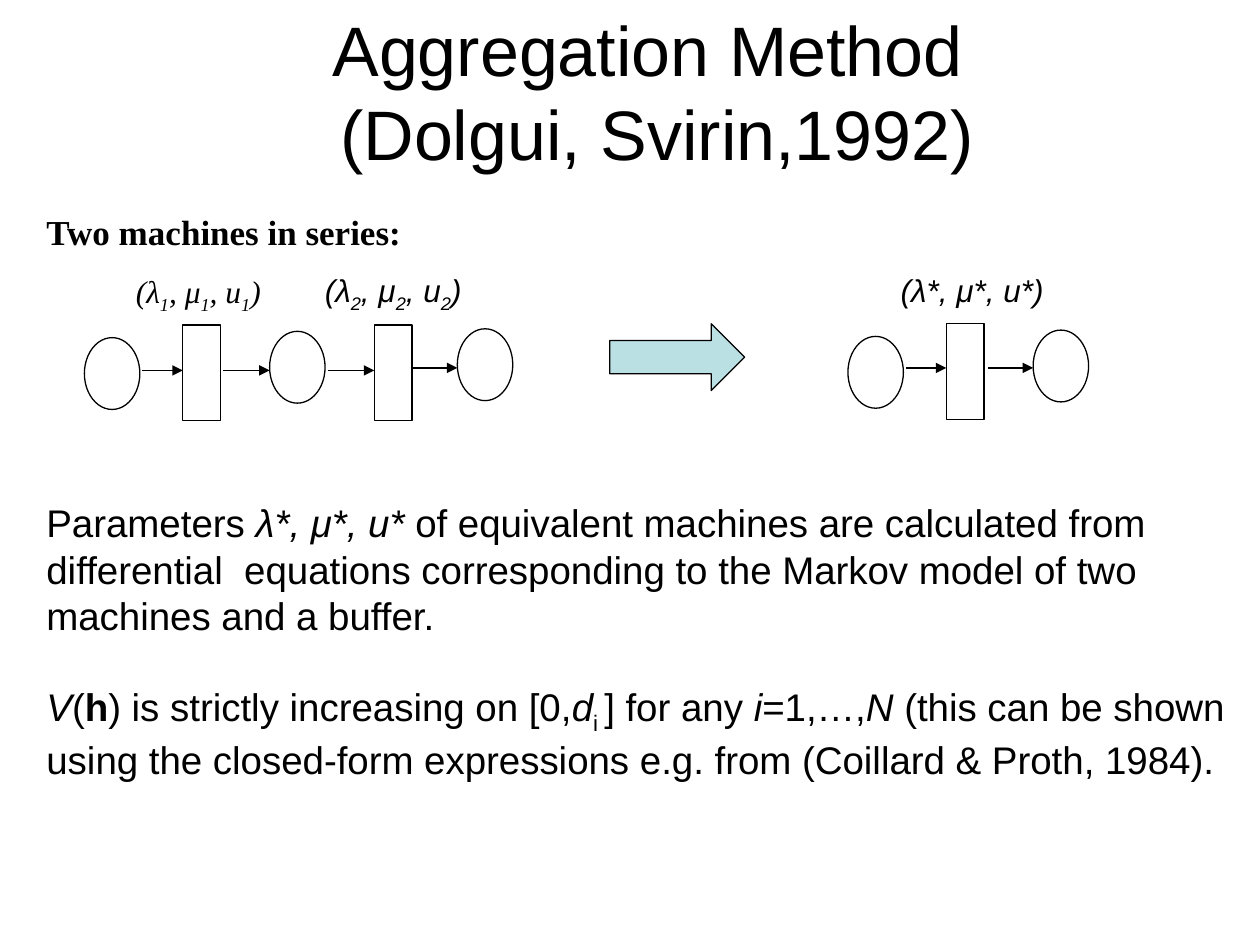
from dataclasses import dataclass

from lxml.etree import SubElement
from pptx import Presentation
from pptx.dml.color import RGBColor
from pptx.enum.shapes import MSO_CONNECTOR, MSO_SHAPE
from pptx.enum.text import MSO_ANCHOR, PP_ALIGN
from pptx.oxml.ns import qn
from pptx.util import Inches, Pt


@dataclass(frozen=True)
class Theme:
    ink: RGBColor = RGBColor(0, 0, 0)
    paper: RGBColor = RGBColor(255, 255, 255)
    accent: RGBColor = RGBColor(0xBB, 0xE0, 0xE3)
    sans: str = "Arial"
    serif: str = "Times New Roman"
    title: int = 40
    heading: int = 20
    label: int = 18
    body: int = 22
    line: float = 0.75


THEME = Theme()

# Content: runs are (text, style), with i = italic, b = bold, s = subscript
TITLE = [("Aggregation Method ", ""), ("\n", ""), ("(Dolgui, Svirin,1992)", "")]
HEADING = [("Two machines in series:", "b")]
BODY = [
    [("Parameters ", ""), ("λ*, μ*, u* ", "i"),
     ("of equivalent machines are calculated from differential  equations "
      "corresponding to the Markov model of two machines and a buffer.", "")],
    [("V", "i"), ("(", ""), ("h", "b"), (") is strictly increasing on [0,", ""),
     ("d", "i"), ("i ", "s"), ("] for any ", ""), ("i", "i"), ("=1,…,", ""),
     ("N", "i"), (" (this can be shown using the closed-form expressions e.g. "
                  "from (Coillard & Proth, 1984).", "")],
]


def machine_label(index):
    runs = []
    for symbol in ("(λ", ", μ", ", u"):
        runs += [(symbol, "i"), (index, "is")]
    return runs + [(")", "i")]


# Labels: left, top, font, runs
LABELS = [
    (0.98, 2.11, THEME.serif, machine_label("1")),
    (2.48, 2.10, THEME.sans, machine_label("2")),
    (7.05, 2.10, THEME.sans, [("(λ*, μ*, u*)", "i")]),
]

# Diagram: buffers and machines as (left, top), flows as (start, end, height)
BUFFER_SIZE = (0.44, 0.57)
MACHINE_SIZE = (0.30, 0.76)
BUFFERS = [(0.67, 2.68), (2.14, 2.63), (3.63, 2.61), (6.73, 2.67), (8.20, 2.62)]
MACHINES = [(1.45, 2.58), (2.97, 2.58), (7.51, 2.57)]
FLOWS = [(1.13, 1.45, 2.94), (1.77, 2.14, 2.94), (2.60, 2.97, 2.94),
         (3.26, 3.63, 2.92), (7.19, 7.51, 2.92), (7.84, 8.20, 2.92)]


def add_text(slide, box, paragraphs, size, font=THEME.sans, anchor=MSO_ANCHOR.TOP,
             align=PP_ALIGN.LEFT, wrap=True, gap=0):
    frame = slide.shapes.add_textbox(*map(Inches, box)).text_frame
    frame.word_wrap = wrap
    frame.vertical_anchor = anchor
    for number, runs in enumerate(paragraphs):
        paragraph = frame.add_paragraph() if number else frame.paragraphs[0]
        paragraph.alignment = align
        paragraph.font.size = Pt(size)
        if number:
            paragraph.space_before = Pt(gap)
        for text, style in runs:
            if text == "\n":
                paragraph.add_line_break()
                continue
            run = paragraph.add_run()
            run.text = text
            run.font.name = font
            run.font.size = Pt(size)
            run.font.color.rgb = THEME.ink
            run.font.bold = "b" in style
            run.font.italic = "i" in style
            if "s" in style:
                run.font._element.set("baseline", "-25000")


def add_block(slide, kind, position, size, fill):
    shape = slide.shapes.add_shape(kind, *map(Inches, position + size))
    shape.shadow.inherit = False
    shape.fill.solid()
    shape.fill.fore_color.rgb = fill
    shape.line.color.rgb = THEME.ink
    shape.line.width = Pt(THEME.line)


def add_flow(slide, start, end, height):
    connector = slide.shapes.add_connector(
        MSO_CONNECTOR.STRAIGHT, *map(Inches, (start, height, end, height)))
    connector.line.color.rgb = THEME.ink
    connector.line.width = Pt(THEME.line)
    SubElement(connector.line._get_or_add_ln(), qn("a:tailEnd"), type="triangle")
    SubElement(connector._element.spPr, qn("a:effectLst"))


def main():
    presentation = Presentation()
    presentation.slide_width = Inches(10)
    presentation.slide_height = Inches(7.5)
    slide = presentation.slides.add_slide(presentation.slide_layouts[6])

    # Title and heading
    add_text(slide, (0.98, 0.28, 8.47, 0.87), [TITLE], THEME.title,
             anchor=MSO_ANCHOR.MIDDLE, align=PP_ALIGN.CENTER)
    add_text(slide, (0.27, 1.62, 3.04, 0.44), [HEADING], THEME.heading,
             font=THEME.serif, wrap=False)

    # Two machines reduced to one equivalent machine
    add_block(slide, MSO_SHAPE.RIGHT_ARROW, (4.84, 2.57), (1.07, 0.53), THEME.accent)
    for position in MACHINES:
        add_block(slide, MSO_SHAPE.RECTANGLE, position, MACHINE_SIZE, THEME.paper)
    for position in BUFFERS:
        add_block(slide, MSO_SHAPE.OVAL, position, BUFFER_SIZE, THEME.paper)
    for flow in FLOWS:
        add_flow(slide, *flow)
    for left, top, font, runs in LABELS:
        add_text(slide, (left, top, 1.4, 0.44), [runs], THEME.label, font=font)

    # Explanation
    add_text(slide, (0.27, 3.91, 9.73, 2.35), BODY, THEME.body,
             anchor=MSO_ANCHOR.MIDDLE, gap=26)

    presentation.save("out.pptx")


if __name__ == "__main__":
    main()
